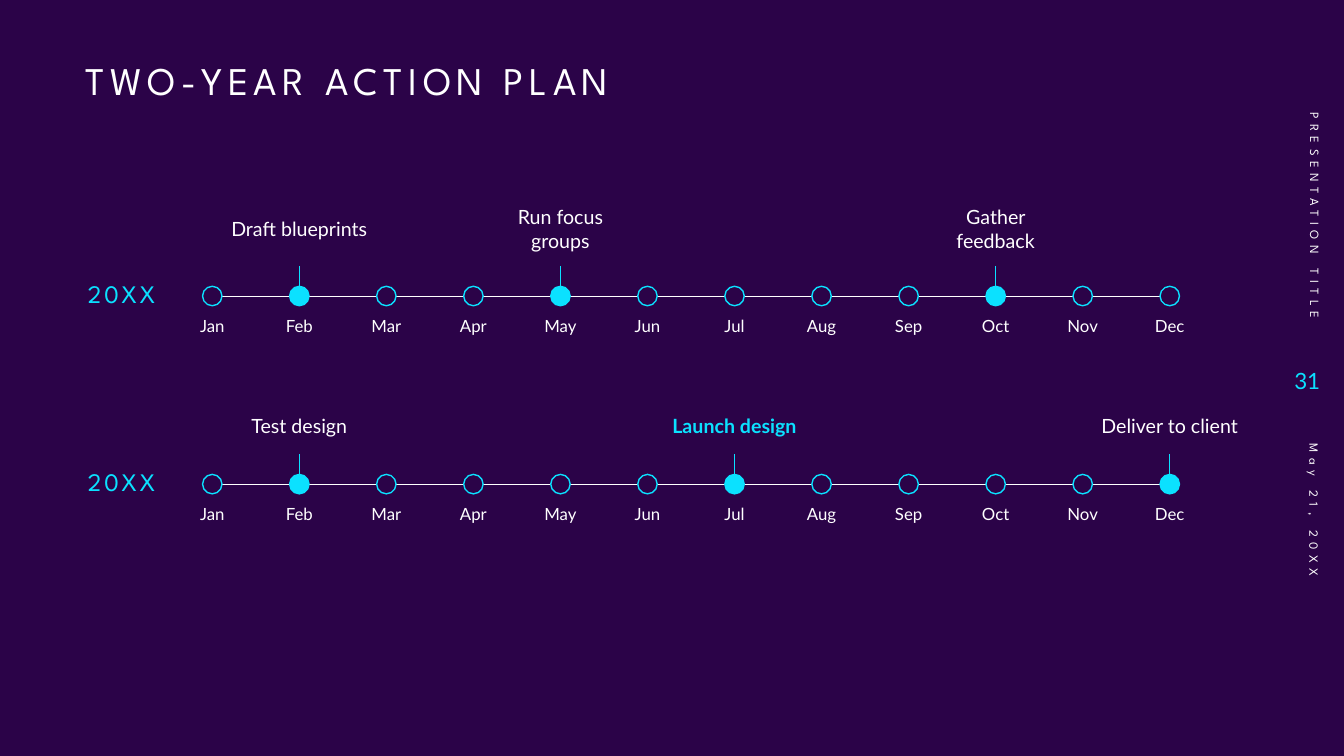
import pptx
import pptx.util
import pptx.dml.color
import pptx.enum.shapes
import pptx.enum.text
import pptx.oxml.ns
import lxml.etree

Cm = pptx.util.Cm
Pt = pptx.util.Pt
ALIGN = pptx.enum.text.PP_ALIGN
ANCHOR = pptx.enum.text.MSO_ANCHOR

TITLE = "TWO-YEAR ACTION PLAN"
FOOTER = "PRESENTATION TITLE"
PAGE = "31"
DATE = "May 21, 20XX"
MONTHS = ["Jan", "Feb", "Mar", "Apr", "May", "Jun",
          "Jul", "Aug", "Sep", "Oct", "Nov", "Dec"]
YEARS = [
    {"label": "20XX", "axis": 7.46, "caption_rise": 2.51,
     "milestones": {"Feb": "Draft blueprints", "May": "Run focus groups",
                    "Oct": "Gather feedback"}},
    {"label": "20XX", "axis": 12.2, "caption_rise": 2.29,
     "milestones": {"Feb": "Test design", "Jul": "Launch design",
                    "Dec": "Deliver to client"}},
]
HIGHLIGHT = "Launch design"

BACKGROUND, WHITE, CYAN = "2B0348", "FFFFFF", "0BE1FF"
HEADING_FONT, BODY_FONT = "League Spartan", "Lato"

JAN_X, DEC_X = 5.35, 29.48
STEP = (DEC_X - JAN_X) / (len(MONTHS) - 1)
DOT = 0.49
MONTH_W, CAPTION_W = 1.37, 3.99


def rgb(code):
    return pptx.dml.color.RGBColor.from_string(code)


def add_text(slide, words, left, top, width, height, size, font=BODY_FONT,
             color=WHITE, align=ALIGN.CENTER, anchor=ANCHOR.MIDDLE,
             line_spacing=1.0, tracking=0, bold=False, rotation=0, side_inset=0.25):
    box = slide.shapes.add_textbox(Cm(left), Cm(top), Cm(width), Cm(height))
    box.rotation = rotation
    frame = box.text_frame
    frame.word_wrap = True
    frame.vertical_anchor = anchor
    frame.margin_left = frame.margin_right = Cm(side_inset)
    paragraph = frame.paragraphs[0]
    paragraph.alignment = align
    paragraph.line_spacing = line_spacing
    run = paragraph.add_run()
    run.text = words
    run.font.name = font
    run.font.size = Pt(size)
    run.font.bold = bold
    run.font.color.rgb = rgb(color)
    if tracking:
        run._r.get_or_add_rPr().set("spc", str(tracking * 100))


def add_line(slide, x1, y1, x2, y2, color):
    line = slide.shapes.add_connector(
        pptx.enum.shapes.MSO_CONNECTOR.STRAIGHT, Cm(x1), Cm(y1), Cm(x2), Cm(y2))
    line.line.color.rgb = rgb(color)
    line.line.width = Pt(0.5)
    lxml.etree.SubElement(line._element.spPr, pptx.oxml.ns.qn("a:effectLst"))


def add_dot(slide, x, y, filled):
    dot = slide.shapes.add_shape(
        pptx.enum.shapes.MSO_SHAPE.OVAL,
        Cm(x - DOT / 2), Cm(y - DOT / 2), Cm(DOT), Cm(DOT))
    dot.shadow.inherit = False
    if filled:
        dot.fill.solid()
        dot.fill.fore_color.rgb = rgb(CYAN)
    else:
        dot.fill.background()
    dot.line.color.rgb = rgb(CYAN)
    dot.line.width = Pt(1)


def add_year(slide, year):
    axis = year["axis"]
    add_text(slide, year["label"], 1.4, axis - 0.71, 3.33, 1.4, 18,
             font=HEADING_FONT, color=CYAN, line_spacing=0.9, tracking=2)
    for index, month in enumerate(MONTHS):
        x = JAN_X + index * STEP
        caption = year["milestones"].get(month)
        if index < len(MONTHS) - 1:
            add_line(slide, x + DOT / 2, axis, x + STEP - DOT / 2, axis, WHITE)
        add_text(slide, month, x - MONTH_W / 2, axis + 0.24, MONTH_W, 2.51, 12,
                 anchor=ANCHOR.TOP, line_spacing=1.25, side_inset=0)
        add_dot(slide, x, axis, caption is not None)
        if caption:
            important = caption == HIGHLIGHT
            add_text(slide, caption, x - CAPTION_W / 2, axis - year["caption_rise"],
                     CAPTION_W, 1.63, 14, color=CYAN if important else WHITE,
                     bold=important)
            add_line(slide, x, axis - 0.76, x, axis + 0.19, CYAN)


def main():
    deck = pptx.Presentation()
    deck.slide_width, deck.slide_height = Cm(33.87), Cm(19.05)
    slide = deck.slides.add_slide(deck.slide_layouts[6])
    slide.background.fill.solid()
    slide.background.fill.fore_color.rgb = rgb(BACKGROUND)

    add_text(slide, TITLE, 1.9, 1.42, 29.21, 2.03, 28, font=HEADING_FONT,
             align=ALIGN.LEFT, anchor=ANCHOR.TOP, line_spacing=0.9, tracking=4)
    for year in YEARS:
        add_year(slide, year)
    add_text(slide, FOOTER, 29.29, 3.91, 7.7, 1.02, 9, font=HEADING_FONT,
             align=ALIGN.RIGHT, tracking=4, rotation=90)
    add_text(slide, PAGE, 32, 8.79, 1.52, 1.6, 16, color=CYAN, align=ALIGN.RIGHT)
    add_text(slide, DATE, 29.44, 14.1, 7.37, 1.02, 9, font=HEADING_FONT,
             align=ALIGN.LEFT, tracking=4, rotation=90)
    deck.save("out.pptx")


if __name__ == "__main__":
    main()
